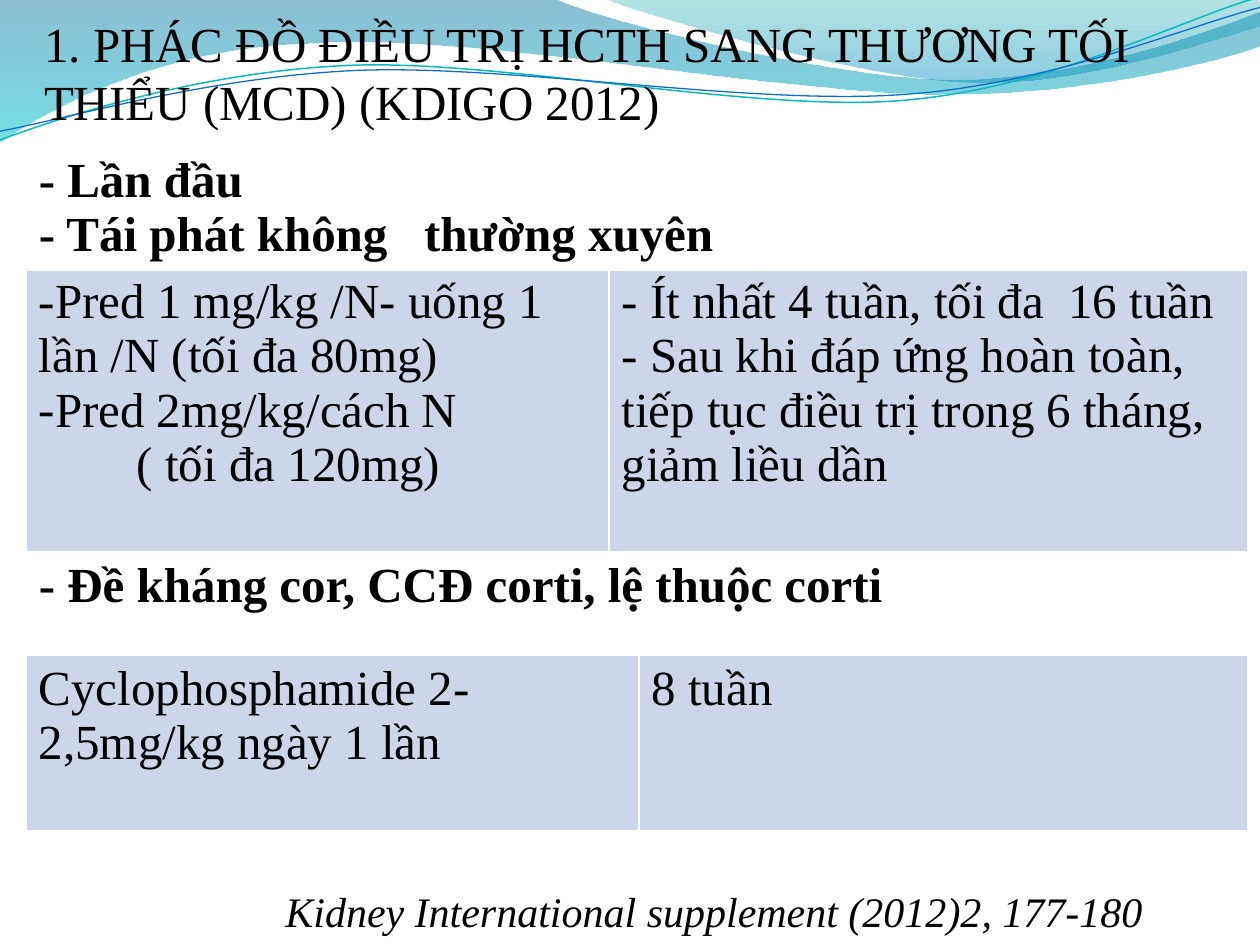
import pptx
import pptx.util
import pptx.oxml
import pptx.oxml.ns
import pptx.dml.color
import pptx.enum.text
import lxml.etree

Pt = pptx.util.Pt
qn = pptx.oxml.ns.qn
RGB = pptx.dml.color.RGBColor.from_string
MIDDLE = pptx.enum.text.MSO_ANCHOR.MIDDLE
COLORS = {
    "text": "000000", "white": "FFFFFF", "cell": "CCD5EA",
    "blue": "0074A1", "aqua": "00C6CF", "teal": "00A1A9", "sky": "008BBF",
    "line1": "0AB8BF", "line2": "0F6FC6",
}


def draw(start, parts, close):
    """Draw a freeform; parts of six numbers are Bezier curves, of two are lines."""
    pen = slide.shapes.build_freeform(Pt(start[0]), Pt(start[1]))
    for part in parts:
        pairs = zip(part[::2], part[1::2])
        pen.add_line_segments([(Pt(x), Pt(y)) for x, y in pairs], close=False)
    if close:
        pen.add_line_segments([], close=True)
    shape = pen.convert_to_shape()
    shape.shadow.inherit = False
    lines = iter(list(shape._element.iter(qn("a:lnTo"))))
    for part in parts:
        group = [next(lines) for _ in part[::2]]
        if len(group) == 3:
            curve = lxml.etree.Element(qn("a:cubicBezTo"))
            group[0].addprevious(curve)
            for line in group:
                curve.append(line[0])
                line.getparent().remove(line)
    return shape


def style(para, size=28, bold=False, italic=False):
    font = para.font
    font.name = "Times New Roman"
    font.size = Pt(size)
    font.bold = bold
    font.italic = italic
    font.color.rgb = RGB(COLORS["text"])


deck = pptx.Presentation()
deck.slide_width, deck.slide_height = Pt(720), Pt(540)
slide = deck.slides.add_slide(deck.slide_layouts[5])

# Wave bands: start, parts, (colour, opacity in percent) from top to bottom
bands = [
    ((0, 0), [(317, -0.7), (343, 12, 478, 45.4, 546, 45.4),
              (614, 45.4, 690, 18.7, 720, 6.5), (720.7, 26),
              (708, 31.7, 626, 54.7, 537, 54), (448, 54, 275, 20.2, 185, 24.5),
              (93, 26, 33, 59.8, -0.7, 81.4)], [("blue", 45), ("aqua", 55)]),
    ((345, -0.7), [(366.5, 8, 491, 44.6, 553.7, 46.8),
                   (616.3, 49.7, 692, 23, 720, 15), (720, 0)],
     [("teal", 30), ("sky", 45)]),
]
for start, parts, stops in bands:
    band = draw(start, parts, True)
    band.line.fill.background()
    band.fill.gradient()
    band.fill.gradient_angle = 270
    for stop, (name, _) in zip(band.fill.gradient_stops, stops):
        stop.color.rgb = RGB(COLORS[name])
    marks = band._element.spPr.iter(qn("a:srgbClr"))
    for mark, (_, alpha) in zip(list(marks), stops):
        lxml.etree.SubElement(mark, qn("a:alpha"), val=str(alpha * 1000))

# Wave lines
waves = [
    ((0, 80), [(34.6, 67, 113.8, 41, 199.4, 37.4), (284.4, 33.8, 427, 64, 513.4, 57.6),
               (600, 51, 675.4, 10.8, 718.6, -1.4)], "line1", 0.85),
    ((0, 75), [(33.8, 69, 118, 44, 203.8, 40.3), (290, 36.7, 430, 60.5, 516.2, 54),
               (602, 48.2, 677.5, 15, 720, 4.3)], "line2", 0.75),
]
for start, parts, name, width in waves:
    wave = draw(start, parts, False)
    wave.fill.background()
    wave.line.color.rgb = RGB(COLORS[name])
    wave.line.width = Pt(width)

# Treatment table
grid = slide.shapes.add_table(4, 3, Pt(15), Pt(84.3), Pt(695), Pt(390)).table
grid.first_row = grid.horz_banding = False
for col, width in zip(grid.columns, (333, 14, 348)):
    col.width = Pt(width)
for row, height in zip(grid.rows, (69, 162, 59, 100)):
    row.height = Pt(height)
for row, first, last in ((0, 0, 2), (1, 1, 2), (2, 0, 2), (3, 0, 1)):
    grid.cell(row, first).merge(grid.cell(row, last))

texts = {
    (0, 0): ["- Lần đầu", "- Tái phát không   thường xuyên"],
    (1, 0): ["-Pred 1 mg/kg /N- uống 1 lần /N (tối đa 80mg)",
             "Pred 2mg/kg/cách N", "( tối đa 120mg)"],
    (1, 1): ["- Ít nhất 4 tuần, tối đa  16 tuần",
             "- Sau khi đáp ứng hoàn toàn, tiếp tục điều trị trong 6 tháng, giảm liều dần"],
    (2, 0): ["- Đề kháng cor, CCĐ corti, lệ thuộc corti"],
    (3, 0): ["Cyclophosphamide 2-2,5mg/kg ngày 1 lần"],
    (3, 2): ["8 tuần"],
}
for (row, col), lines in texts.items():
    grid.cell(row, col).text = "\n".join(lines)

dose, limit = grid.cell(1, 0).text_frame.paragraphs[1:]
props = dose._p.get_or_add_pPr()
props.set("marL", "0")
props.set("indent", "0")
lxml.etree.SubElement(props, qn("a:buFont"), typeface="Times New Roman")
lxml.etree.SubElement(props, qn("a:buChar"), char="-")
limit._p.get_or_add_pPr().set("marL", str(int(Pt(56))))

for row in range(4):
    head = row in (0, 2)
    for col in range(3):
        cell = grid.cell(row, col)
        cell.fill.solid()
        cell.fill.fore_color.rgb = RGB(COLORS["white" if head else "cell"])
        for spot, side in enumerate(("lnL", "lnR", "lnT", "lnB")):
            thick = (row, side) in ((0, "lnB"), (1, "lnT"))
            edge = lxml.etree.Element(qn("a:" + side), w=str(int(Pt(3 if thick else 1))))
            paint = lxml.etree.SubElement(edge, qn("a:solidFill"))
            lxml.etree.SubElement(paint, qn("a:srgbClr"), val=COLORS["white"])
            cell._tc.get_or_add_tcPr().insert(spot, edge)
        for para in cell.text_frame.paragraphs:
            style(para, bold=head)

# Title, brought in front of the waves
title = slide.shapes.title
slide.shapes._spTree.append(title._element)
title.left, title.top, title.width, title.height = Pt(18), Pt(3.6), Pt(678), Pt(75)
frame = title.text_frame
frame.text = "1. PHÁC ĐỒ ĐIỀU TRỊ HCTH SANG THƯƠNG TỐI THIỂU (MCD) (KDIGO 2012)"
frame.word_wrap = True
frame.auto_size = pptx.enum.text.MSO_AUTO_SIZE.NONE
frame.vertical_anchor = MIDDLE
para = frame.paragraphs[0]
para.alignment = pptx.enum.text.PP_ALIGN.LEFT
style(para)

# Citation
cite = slide.shapes.add_textbox(Pt(156), Pt(502.5), Pt(541), Pt(36)).text_frame
cite.text = "Kidney International supplement (2012)2, 177-180"
cite.word_wrap = True
cite.vertical_anchor = MIDDLE
style(cite.paragraphs[0], 24, italic=True)

deck.save("out.pptx")
